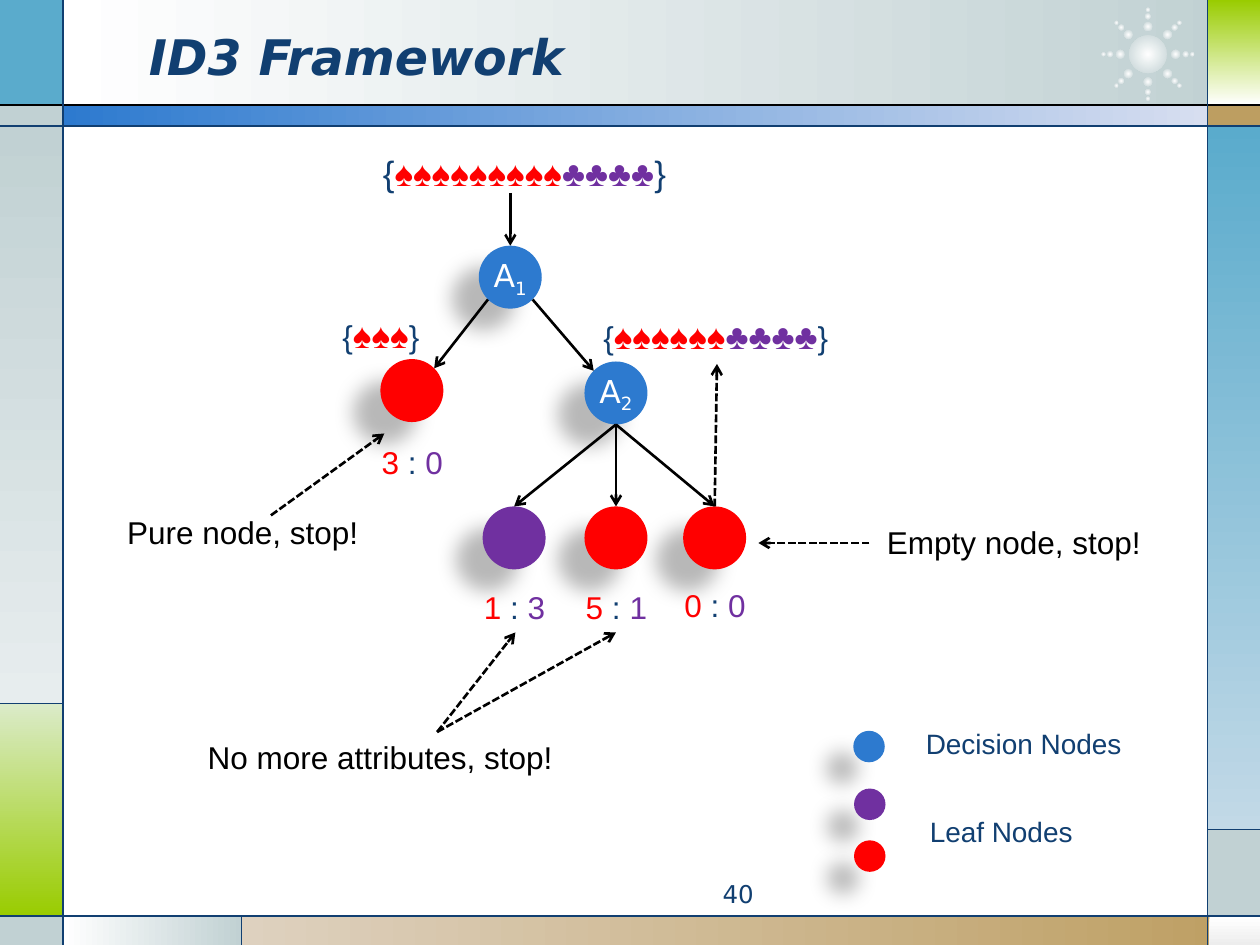
from math import cos, pi, sin, sqrt

from lxml import etree
from pptx import Presentation
from pptx.dml.color import RGBColor
from pptx.enum import dml, shapes as kinds, text as txt
from pptx.oxml import parse_xml
from pptx.oxml.ns import qn
from pptx.util import Pt

WHITE = RGBColor(0xFF, 0xFF, 0xFF)
BLACK = RGBColor(0, 0, 0)
NAVY = RGBColor(0x11, 0x3F, 0x71)
BLUE = RGBColor(0x2D, 0x7A, 0xCF)
RED = RGBColor(0xFF, 0, 0)
PURPLE = RGBColor(0x70, 0x30, 0xA0)
GREY = RGBColor(0xC1, 0xD1, 0xD3)
PALE = RGBColor(0xE7, 0xED, 0xEE)
SMOKE = RGBColor(0xED, 0xED, 0xED)
SKY = RGBColor(0x5A, 0xAB, 0xCC)
MIST = RGBColor(0xC2, 0xD9, 0xE7)
LIME = RGBColor(0x99, 0xCC, 0)
MINT = RGBColor(0xDB, 0xEB, 0xC9)
TAN = RGBColor(0xBD, 0x9E, 0x61)
SAND = RGBColor(0xDE, 0xD1, 0xBF)
ICE = RGBColor(0xD7, 0xDE, 0xF0)
SANS, ARIAL = "DejaVu Sans", "Arial"
NS = 'xmlns:a="http://schemas.openxmlformats.org/drawingml/2006/main"'

# Frame: left, top, right, bottom, colours, gradient angle
PANELS = [
    (36, 0, 703.5, 60, (WHITE, GREY), 0),
    (0, 0, 36, 60, (SKY,), 0),
    (0, 60, 36, 72, (GREY,), 0),
    (0, 72, 36, 402, (GREY, PALE), 90),
    (0, 402, 36, 523.5, (MINT, LIME), 90),
    (0, 523.5, 36, 540, (GREY,), 0),
    (36, 523.5, 138, 540, (WHITE, GREY), 0),
    (138, 523.5, 720, 540, (SAND, TAN), 0),
    (691, 523.5, 720, 540, (WHITE, SMOKE), 90),
    (690, 474, 720, 523.5, (GREY,), 0),
    (690, 72, 720, 474, (SKY, MIST), 90),
    (690, 60, 720, 72, (TAN,), 0),
    (690, 0, 720, 60, (LIME, WHITE), 90),
    (36, 60, 690, 72, (BLUE, ICE), 0),
]
RULES = [
    (0, 60, 720, 60, BLACK), (0, 72, 720, 72, NAVY),
    (0, 523.5, 720, 523.5, NAVY), (36, 0, 36, 540, NAVY),
    (690, 0, 690, 540, NAVY), (0, 402, 36, 402, NAVY),
    (138, 523.5, 138, 540, NAVY), (690, 474, 720, 474, NAVY),
]
STAR = (656, 31)
BEADS = [(15.8, 5.2), (21.6, 3.5), (25.4, 2.5)]  # distance, size

# Tree: centre x, centre y, size, colour, subscript of A
NODES = {
    "a1": (291.6, 158.4, 36, BLUE, "1"),
    "a2": (352, 224.6, 36, BLUE, "2"),
    "pure": (235.4, 223.2, 36, RED, ""),
    "left": (293.8, 307.4, 36, PURPLE, ""),
    "mid": (352, 307.4, 36, RED, ""),
    "empty": (408.4, 307.4, 36, RED, ""),
    "key1": (496.6, 426.6, 18, BLUE, ""),
    "key2": (497, 459.6, 18, PURPLE, ""),
    "key3": (497, 489.2, 18, RED, ""),
}
# Node and side (x, y) at each end
EDGES = [
    ("a1", 1, 1, "a2", -1, -1), ("a1", -1, 1, "pure", 1, -1),
    ("a2", 0, 1, "left", 0, -1), ("a2", 0, 1, "mid", 0, -1),
    ("a2", 0, 1, "empty", 0, -1),
]
HINTS = [
    (154.8, 294.5, 219.6, 247.7), (249.8, 418.3, 352, 361.4),
    (249.8, 418.3, 294.5, 361.4), (496.8, 310.3, 433.4, 310.3),
    (408.4, 289.4, 409.7, 208),
]
RATIOS = [("left", "1", "3", 332.6), ("mid", "5", "1", 332.6),
          ("empty", "0", "0", 331.2), ("pure", "3", "0", 249.8)]
# Left, top, width, spades, clubs, brace size
SETS = [(211.7, 82.8, 177.8, 9, 4, 20), (337.7, 176.4, 144, 6, 4, 18),
        (188.6, 175.7, 59, 3, 0, 18)]
NOTES = [
    (65.5, 289.4, 147.6, "Pure node, stop!", BLACK, 18),
    (111.6, 418.3, 213.1, "No more attributes, stop!", BLACK, 18),
    (499.7, 295.2, 161.3, "Empty node, stop!", BLACK, 18),
    (522, 411.8, 127.4, "Decision Nodes", NAVY, 16),
    (524.2, 462.2, 97.2, "Leaf Nodes", NAVY, 16),
]

prs = Presentation()
prs.slide_width, prs.slide_height = Pt(720), Pt(540)
slide = prs.slides.add_slide(prs.slide_layouts[5])
shapes = slide.shapes


def paint(fill, hues, angle=0):
    if len(hues) == 1:
        fill.solid()
        fill.fore_color.rgb = hues[0]
        return
    fill.gradient()
    fill.gradient_angle = -angle % 360
    for stop, hue, place in zip(fill.gradient_stops, hues, (0, 1)):
        stop.color.rgb = hue
        stop.position = place


def block(kind, x, y, w, h, hues, angle=0):
    part = shapes.add_shape(kind, Pt(x), Pt(y), Pt(w), Pt(h))
    part.shadow.inherit = False
    part.line.fill.background()
    paint(part.fill, hues, angle)
    return part


def disc(x, y, size, hues):
    return block(kinds.MSO_SHAPE.OVAL, x - size / 2, y - size / 2, size, size, hues)


def glow(x, y, size):
    """Draw a disc that fades from its centre outwards."""
    part = disc(x, y, size, (WHITE, GREY))
    lin = part.element.spPr.find(".//" + qn("a:lin"))
    lin.getparent().replace(lin, parse_xml(
        f'<a:path {NS} path="circle"><a:fillToRect l="50000" t="50000" '
        'r="50000" b="50000"/></a:path>'))


def line(x1, y1, x2, y2, hue=BLACK, width=1.5, arrow=True, dash=False):
    part = shapes.add_connector(kinds.MSO_CONNECTOR.STRAIGHT,
                                Pt(x1), Pt(y1), Pt(x2), Pt(y2))
    part.line.color.rgb = hue
    part.line.width = Pt(width)
    if dash:
        part.line.dash_style = dml.MSO_LINE.SQUARE_DOT
    if arrow:
        etree.SubElement(part.line._get_or_add_ln(), qn("a:tailEnd"), type="arrow")
    etree.SubElement(part.element.spPr, qn("a:effectLst"))


def write(para, runs, face=ARIAL):
    for words, hue, size in runs:
        run = para.add_run()
        run.text = words
        run.font.name, run.font.size = face, Pt(size)
        run.font.color.rgb = hue
    return run


def label(x, y, w, h, runs, face=ARIAL):
    frame = shapes.add_textbox(Pt(x), Pt(y), Pt(w), Pt(h)).text_frame
    frame.word_wrap = False
    write(frame.paragraphs[0], runs, face)
    return frame


def node(x, y, size, hue, sub):
    part = disc(x, y, size, (hue,))
    part.element.spPr.find(qn("a:effectLst")).append(parse_xml(
        f'<a:outerShdw {NS} blurRad="{Pt(11.8)}" dist="{Pt(19.7)}" '
        f'dir="{141 * 60000}" algn="ctr" rotWithShape="0"><a:srgbClr '
        'val="000000"><a:alpha val="28000"/></a:srgbClr></a:outerShdw>'))
    if sub:
        frame = part.text_frame
        frame.margin_left = frame.margin_right = 0
        frame.margin_top = frame.margin_bottom = 0
        frame.vertical_anchor = txt.MSO_ANCHOR.MIDDLE
        para = frame.paragraphs[0]
        para.alignment = txt.PP_ALIGN.CENTER
        run = write(para, [("A", WHITE, 18), (sub, WHITE, 18)], SANS)
        run._r.get_or_add_rPr().set("baseline", "-25000")


def port(name, dx, dy):
    """Return the point on a node's rim in the given direction."""
    x, y, size = NODES[name][:3]
    reach = size / 2 / sqrt(dx * dx + dy * dy)
    return x + dx * reach, y + dy * reach


for x1, y1, x2, y2, hues, angle in PANELS:
    block(kinds.MSO_SHAPE.RECTANGLE, x1, y1, x2 - x1, y2 - y1, hues, angle)
glow(*STAR, 21.6)
for turn in range(8):
    for far, size in BEADS:
        glow(STAR[0] + far * cos(turn * pi / 4),
             STAR[1] + far * sin(turn * pi / 4), size)
for *ends, hue in RULES:
    line(*ends, hue, 0.75, arrow=False)

title = shapes.title
shapes.element.append(title.element)  # in front of the frame
title.left, title.top, title.width, title.height = Pt(77.8), Pt(9.4), Pt(527.8), Pt(44.6)
title.text_frame.vertical_anchor = txt.MSO_ANCHOR.MIDDLE
head = title.text_frame.paragraphs[0]
head.alignment = txt.PP_ALIGN.LEFT
run = write(head, [("ID3 Framework", NAVY, 28)], SANS)
run.font.bold = run.font.italic = True

page = label(270, 499, 167.8, 19.4, [("40", NAVY, 14)], SANS)
page.word_wrap = True
page.paragraphs[0].alignment = txt.PP_ALIGN.RIGHT

for spot in NODES.values():
    node(*spot)
for start, dx1, dy1, end, dx2, dy2 in EDGES:
    line(*port(start, dx1, dy1), *port(end, dx2, dy2))
line(291.6, 110.2, *port("a1", 0, -1))
for ends in HINTS:
    line(*ends, dash=True)

for name, reds, violets, top in RATIOS:
    label(NODES[name][0] - 24.4, top, 49.7, 28.8,
          [(reds + " ", RED, 18), (": ", NAVY, 18), (violets, PURPLE, 18)])
for x, y, w, spades, clubs, size in SETS:
    runs = [("{", NAVY, size), ("♠" * spades, RED, 20),
            ("♣" * clubs, PURPLE, 20), ("}", NAVY, size)]
    label(x, y, w, 31.7, [run for run in runs if run[0]])
for x, y, w, words, hue, size in NOTES:
    label(x, y, w, 28.8, [(words, hue, size)])

prs.save("out.pptx")
